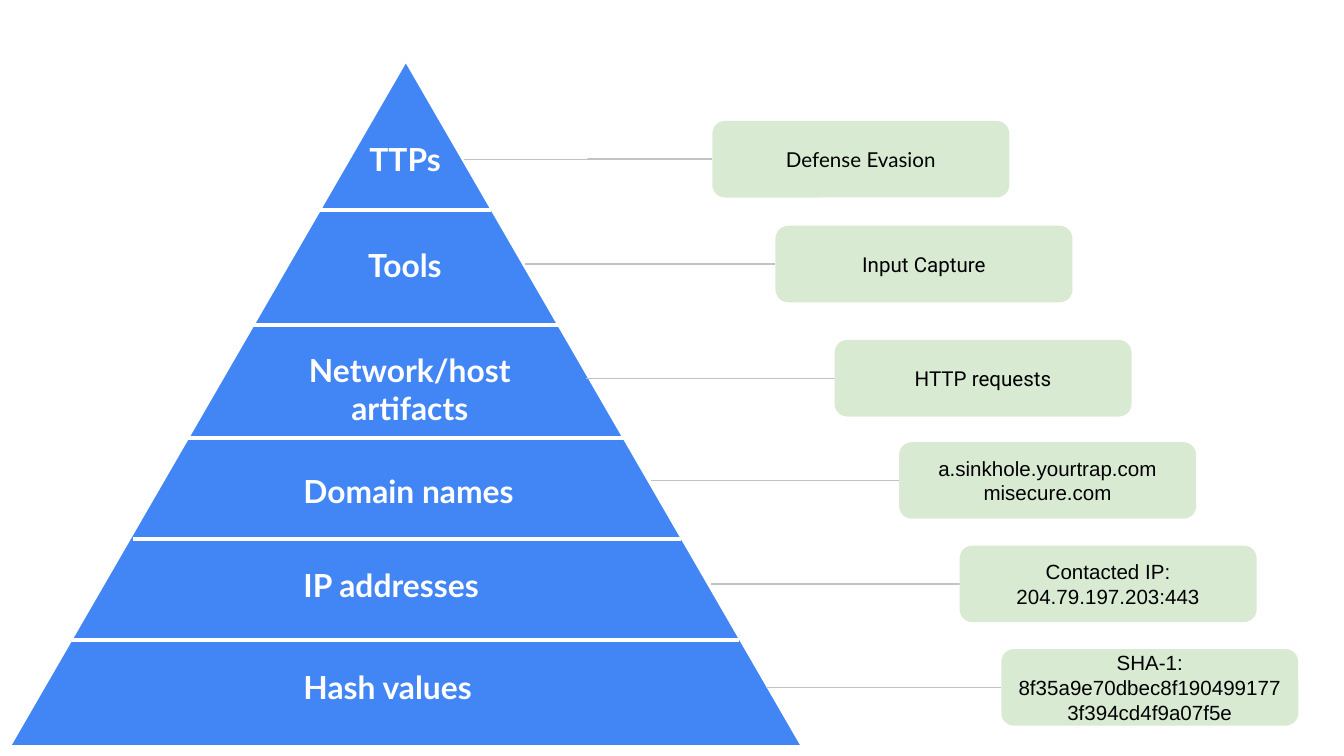
from lxml.etree import SubElement
from pptx import Presentation
from pptx.dml.color import RGBColor
from pptx.enum.shapes import MSO_CONNECTOR, MSO_SHAPE
from pptx.enum.text import MSO_ANCHOR, MSO_AUTO_SIZE, PP_ALIGN
from pptx.oxml.ns import qn
from pptx.util import Inches, Pt

BLUE = RGBColor(0x42, 0x85, 0xF4)
GREEN = RGBColor(0xD9, 0xEA, 0xD3)
GREY = RGBColor(0xC2, 0xC2, 0xC2)
WHITE = RGBColor(0xFF, 0xFF, 0xFF)
BLACK = RGBColor(0x00, 0x00, 0x00)

DIVIDERS = [
    (2.38, 3.65, 1.56),
    (1.88, 4.17, 2.42),
    (1.39, 4.64, 3.26),
    (0.99, 5.07, 4.01),
    (0.53, 5.5, 4.76),
]
LEVELS = [
    ("TTPs", 2.65, 0.94, 0.88, 0.49, PP_ALIGN.LEFT),
    ("Tools", 2.64, 1.73, 0.88, 0.49, PP_ALIGN.LEFT),
    ("Network/host artifacts", 1.96, 2.51, 2.18, 0.77, PP_ALIGN.CENTER),
    ("Domain names", 2.16, 3.41, 2.24, 0.49, PP_ALIGN.LEFT),
    ("IP addresses", 2.16, 4.11, 2.24, 0.49, PP_ALIGN.LEFT),
    ("Hash values", 2.16, 4.87, 2.24, 0.49, PP_ALIGN.LEFT),
]
EXAMPLES = [
    ("Defense Evasion", "Lato", 3.45, 5.3, 0.9),
    ("Input Capture", "Roboto", 3.91, 5.77, 1.68),
    ("HTTP requests", "Roboto", 4.36, 6.21, 2.53),
    ("a.sinkhole.yourtrap.com\nmisecure.com", "Arial", 4.84, 6.69, 3.29),
    ("Contacted IP: 204.79.197.203:443", "Arial", 5.29, 7.14, 4.06),
    ("SHA-1: 8f35a9e70dbec8f1904991773f394cd4f9a07f5e", "Arial", 5.7, 7.45, 4.83),
]
BOX_W, BOX_H = 2.21, 0.57


def write(tf, text, font="Lato", size=11, color=BLACK, bold=False,
          align=PP_ALIGN.CENTER, anchor=MSO_ANCHOR.TOP):
    tf.word_wrap = True
    tf.vertical_anchor = anchor
    tf.margin_left = tf.margin_right = Inches(0.1)
    tf.margin_top = tf.margin_bottom = Inches(0.1)
    for i, line in enumerate(text.split("\n")):
        p = tf.add_paragraph() if i else tf.paragraphs[0]
        p.alignment = align
        r = p.add_run()
        r.text = line
        r.font.name = font
        r.font.size = Pt(size)
        r.font.bold = bold
        r.font.color.rgb = color


class Diagram:
    def __init__(self, slide):
        self.shapes = slide.shapes
        self.pyramid = slide.shapes.add_group_shape().shapes

    def triangle(self, x, y, w, h):
        s = self.pyramid.add_shape(MSO_SHAPE.ISOSCELES_TRIANGLE,
                                   Inches(x), Inches(y), Inches(w), Inches(h))
        s.shadow.inherit = False
        s.fill.solid()
        s.fill.fore_color.rgb = BLUE
        s.line.color.rgb = WHITE
        s.line.width = Pt(2.25)

    def line(self, shapes, kind, x1, x2, y, color, width):
        s = shapes.add_connector(kind, Inches(x1), Inches(y), Inches(x2), Inches(y))
        s.line.color.rgb = color
        s.line.width = Pt(width)
        SubElement(s._element.spPr, qn("a:effectLst"))
        return s

    def divider(self, x1, x2, y):
        self.line(self.pyramid, MSO_CONNECTOR.STRAIGHT, x1, x2, y, WHITE, 2.25)

    def label(self, text, x, y, w, h, align):
        s = self.shapes.add_textbox(Inches(x), Inches(y), Inches(w), Inches(h))
        write(s.text_frame, text, size=17, color=WHITE, bold=True, align=align)
        s.text_frame.auto_size = MSO_AUTO_SIZE.SHAPE_TO_FIT_TEXT

    def example(self, text, font, start, x, y):
        link = self.line(self.shapes, MSO_CONNECTOR.ELBOW, start, x,
                         y + BOX_H / 2, GREY, 0.75)
        s = self.shapes.add_shape(MSO_SHAPE.ROUNDED_RECTANGLE, Inches(x), Inches(y),
                                  Inches(BOX_W), Inches(BOX_H))
        s.shadow.inherit = False
        s.fill.solid()
        s.fill.fore_color.rgb = GREEN
        s.line.fill.background()
        write(s.text_frame, text, font=font, anchor=MSO_ANCHOR.MIDDLE)
        link.end_connect(s, 1)


def main():
    prs = Presentation()
    prs.slide_width = Inches(10)
    prs.slide_height = Inches(10 * 9 / 16)
    diagram = Diagram(prs.slides.add_slide(prs.slide_layouts[6]))
    diagram.triangle(0.06, 0.44, 5.92, 5.12)
    for divider in DIVIDERS:
        diagram.divider(*divider)
    for level in LEVELS:
        diagram.label(*level)
    for example in EXAMPLES:
        diagram.example(*example)
    prs.save("out.pptx")


if __name__ == "__main__":
    main()
